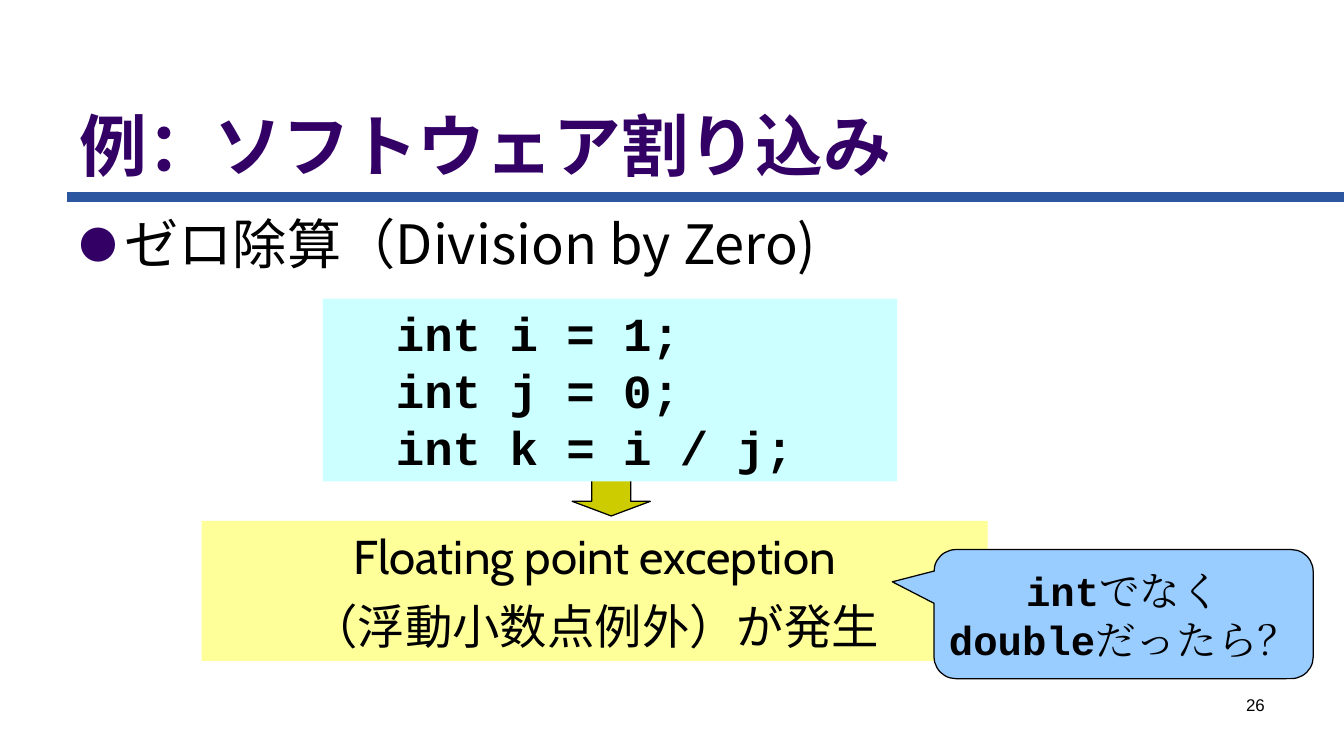
import pptx
import pptx.util
import pptx.dml.color
import pptx.enum.shapes
import pptx.enum.text
import pptx.oxml
import lxml.etree
from pptx.oxml.ns import qn

Cm = pptx.util.Cm
Pt = pptx.util.Pt
RGBColor = pptx.dml.color.RGBColor
ALIGN = pptx.enum.text.PP_ALIGN
ANCHOR = pptx.enum.text.MSO_ANCHOR
SHAPE = pptx.enum.shapes.MSO_SHAPE

BLACK = RGBColor(0x00, 0x00, 0x00)
PURPLE = RGBColor(0x33, 0x00, 0x66)
BLUE = RGBColor(0x2D, 0x56, 0xA0)
YELLOW = RGBColor(0xFF, 0xFF, 0x99)
OLIVE = RGBColor(0xCC, 0xCC, 0x00)
CYAN = RGBColor(0xCC, 0xFF, 0xFF)
SKY = RGBColor(0x99, 0xCC, 0xFF)
SANS = "Noto Sans CJK JP"
MONO = "Courier New"
SERIF = "Times New Roman"


def add_text(p, text, size=28, font=SANS, color=BLACK, bold=False):
    r = p.add_run()
    r.text = text
    r.font.size = Pt(size)
    r.font.name = font
    r.font.bold = bold
    r.font.color.rgb = color
    ea = lxml.etree.SubElement(r.font._element, qn("a:ea"))
    ea.set("typeface", font)


def add_block(kind, left, top, width, height, fill, line=None):
    sp = s.shapes.add_shape(kind, Cm(left), Cm(top), Cm(width), Cm(height))
    sp.shadow.inherit = False
    sp.fill.solid()
    sp.fill.fore_color.rgb = fill
    if line is None:
        sp.line.fill.background()
    else:
        sp.line.color.rgb = BLACK
        sp.line.width = Pt(line)
    sp.text_frame.vertical_anchor = ANCHOR.TOP
    return sp


prs = pptx.Presentation()
prs.slide_width = Cm(28)
prs.slide_height = Cm(15.75)
s = prs.slides.add_slide(prs.slide_layouts[1])

rule = s.shapes.add_connector(
    pptx.enum.shapes.MSO_CONNECTOR.STRAIGHT, Cm(1.4), Cm(4.1), Cm(28), Cm(4.1))
rule.line.color.rgb = BLUE
rule.line.width = Pt(5.67)
lxml.etree.SubElement(rule._element.spPr, qn("a:effectLst"))

title = s.shapes.title
title.left, title.top, title.width, title.height = Cm(1.4), Cm(1), Cm(25.2), Cm(2.98)
tf = title.text_frame
tf.auto_size = pptx.enum.text.MSO_AUTO_SIZE.NONE
tf.vertical_anchor = ANCHOR.BOTTOM
p = tf.paragraphs[0]
p.alignment = ALIGN.LEFT
add_text(p, "例：ソフトウェア割り込み", size=40, color=PURPLE, bold=True)

body = s.placeholders[1]
body.left, body.top, body.width, body.height = Cm(1.4), Cm(4.4), Cm(25.2), Cm(9.25)
tf = body.text_frame
tf.auto_size = pptx.enum.text.MSO_AUTO_SIZE.NONE
p = tf.paragraphs[0]
pPr = p._element.get_or_add_pPr()
pPr.set("marL", str(Cm(0.94)))
pPr.set("indent", str(-Cm(0.94)))
color = lxml.etree.SubElement(pPr, qn("a:buClr"))
lxml.etree.SubElement(color, qn("a:srgbClr")).set("val", str(PURPLE))
lxml.etree.SubElement(pPr, qn("a:buSzPct")).set("val", "70000")
lxml.etree.SubElement(pPr, qn("a:buFont")).set("typeface", SANS)
lxml.etree.SubElement(pPr, qn("a:buChar")).set("char", "●")
p.space_before = Pt(0)
p.line_spacing = 0.9
add_text(p, "ゼロ除算（Division by Zero)", size=32)

result = add_block(SHAPE.RECTANGLE, 4.2, 10.85, 16.38, 2.92, YELLOW)
tf = result.text_frame
p = tf.paragraphs[0]
p.alignment = ALIGN.CENTER
add_text(p, "Floating point exception", font="Cabin")
p = tf.add_paragraph()
p.alignment = ALIGN.CENTER
p.space_before = Pt(8)
add_text(p, "（浮動小数点例外）", font="Cabin")
add_text(p, "が発生", font=MONO)

arrow = add_block(SHAPE.DOWN_ARROW, 11.92, 9.53, 1.63, 1.22, OLIVE, line=0.75)
arrow.adjustments[0] = 0.5
arrow.adjustments[1] = 0.25

code = add_block(SHAPE.RECTANGLE, 6.73, 6.22, 11.96, 3.81, CYAN)
tf = code.text_frame
for i, text in enumerate(["int i = 1;", "int j = 0;", "int k = i / j;"]):
    p = tf.add_paragraph() if i else tf.paragraphs[0]
    p._element.get_or_add_pPr().set("marL", str(Cm(1.27)))
    p.alignment = ALIGN.LEFT
    p.line_spacing = Pt(33.6)
    add_text(p, text, font=MONO, bold=True)

callout = add_block(SHAPE.ROUNDED_RECTANGULAR_CALLOUT, 19.46, 11.45, 7.9, 2.69, SKY, line=0)
for i, value in enumerate([-0.61, -0.25, 0.17]):
    callout.adjustments[i] = value
tf = callout.text_frame
tf.word_wrap = False
tf.vertical_anchor = ANCHOR.MIDDLE
for i, (keyword, text) in enumerate([("int", "でなく"), ("double", "だったら？")]):
    p = tf.add_paragraph() if i else tf.paragraphs[0]
    p.alignment = ALIGN.CENTER
    p.line_spacing = Pt(29)
    add_text(p, keyword, size=24, font=MONO, bold=True)
    add_text(p, text, size=24, font=SERIF)

number = s.shapes.add_textbox(Cm(20.07), Cm(14.35), Cm(6.53), Cm(1.04))
tf = number.text_frame
tf.word_wrap = True
p = tf.paragraphs[0]
p.alignment = ALIGN.RIGHT
add_text(p, "26", size=10, font="Arial")

prs.save("out.pptx")
